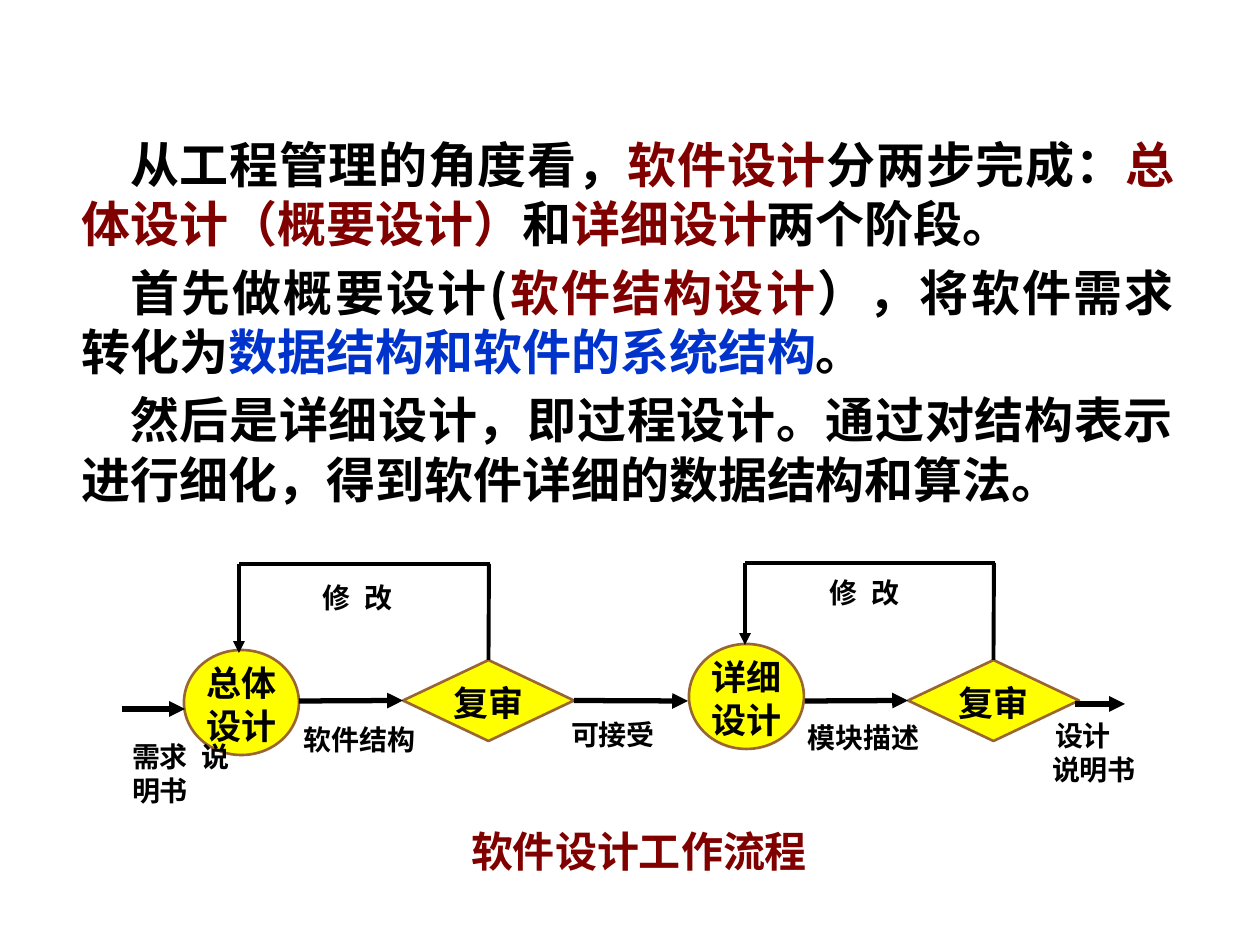
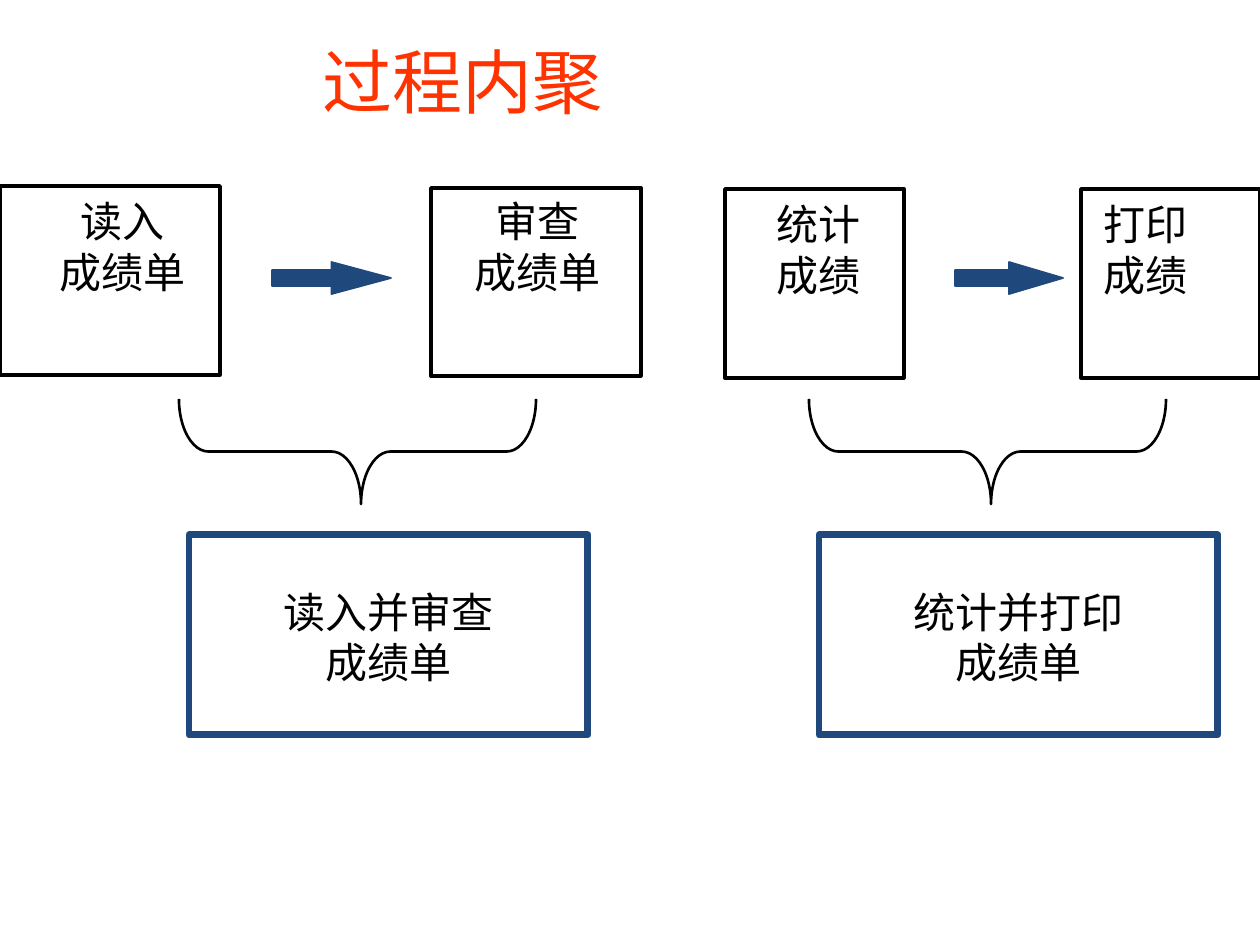
"""Build two slides on software design: the workflow and procedural cohesion."""
from pptx import Presentation
from pptx.dml.color import RGBColor
from pptx.enum.shapes import MSO_CONNECTOR, MSO_SHAPE as SHAPE
from pptx.enum.text import MSO_ANCHOR as ANCHOR, PP_ALIGN as ALIGN
from pptx.oxml.ns import qn
from pptx.util import Pt
from lxml.etree import SubElement

PX = 914400 / 126
CJK = "Noto Sans CJK SC"
BLACK = RGBColor(0, 0, 0)
WHITE = RGBColor(255, 255, 255)
MAROON = RGBColor(0x80, 0, 0)
BLUE = RGBColor(0, 0x33, 0xCC)
NAVY = RGBColor(0x1F, 0x49, 0x7D)
YELLOW = RGBColor(255, 255, 0)
BROWN = RGBColor(0x99, 0x66, 0x33)
ORANGE = RGBColor(255, 0x33, 0)

BODY = [
    ["从工程管理的角度看，", ("软件设计", MAROON), "分两步完成：",
     ("总体设计（概要设计）", MAROON), "和", ("详细设计", MAROON), "两个阶段。"],
    ["首先做概要设计(", ("软件结构设计", MAROON), "），将软件需求转化为",
     ("数据结构和软件的系统结构", BLUE), "。"],
    ["然后是详细设计，即过程设计。通过对结构表示进行细化，得到软件详细的数据结构和算法。"],
]
STAGES = [
    {"words": ["总体", "设计"], "circle": (184, 650), "review": (403, 660),
     "loop": (239, 564, 653), "out": 299},
    {"words": ["详细", "设计"], "circle": (689, 644), "review": (908, 660),
     "loop": (745, 563, 645), "out": 805},
]
GAP = " "
FLOW_LABELS = [
    ([["需求", GAP, "说明书"]], (120, 730, 134, 81)),
    (["软件结构"], (292, 713, 156, 47)),
    ([["修", GAP, "改"]], (311, 571, 163, 47)),
    (["可接受"], (559, 708, 142, 47)),
    (["模块描述"], (796, 711, 158, 47)),
    ([["修", GAP, "改"]], (818, 566, 163, 47)),
]

STEPS = [
    (["读入", "成绩单"], (0, 186, 220, 189), (47, 186, 151, 113), ALIGN.CENTER),
    (["审查", "成绩单"], (431, 188, 210, 188), (462, 186, 151, 113), ALIGN.CENTER),
    (["统计", "成绩"], (725, 189, 179, 189), (765, 189, 110, 113), ALIGN.LEFT),
    (["打印", "成绩"], (1081, 189, 179, 189), (1092, 189, 110, 113), ALIGN.LEFT),
]
STEP_ARROWS = [(272, 262, 119, 32), (955, 262, 108, 32)]
MODULES = [["读入并审查", "成绩单"], ["统计并打印", "成绩单"]]
MODULE_PITCH = 630


def emu(*lengths):
    return [round(n * PX) for n in lengths]


def write(shape, paras, size=24, font=CJK, color=BLACK, bold=False, align=ALIGN.LEFT,
          anchor=ANCHOR.TOP, wrap=False, gap=0, margin=0, indent=0):
    tf = shape.text_frame
    tf.word_wrap, tf.vertical_anchor = wrap, anchor
    tf.margin_left, tf.margin_top, tf.margin_right, tf.margin_bottom = emu(12, 9, 12, 6)
    for i, runs in enumerate(paras):
        p = tf.paragraphs[0] if i == 0 else tf.add_paragraph()
        p.alignment, p.line_spacing = align, Pt(round(size * 1.21, 1))
        if i:
            p.space_before = Pt(gap)
        pPr = p._p.get_or_add_pPr()
        pPr.set("marL", str(emu(margin)[0]))
        pPr.set("indent", str(emu(indent)[0]))
        for item in [runs] if isinstance(runs, str) else runs:
            text, tint = (item, color) if isinstance(item, str) else item
            r = p.add_run()
            r.text = text
            r.font.size, r.font.name, r.font.bold = Pt(size), font, bold
            r.font.color.rgb = tint
            SubElement(r._r.rPr, qn("a:ea"), typeface=CJK)
            if text == GAP:
                r._r.rPr.set("spc", "400")
    return shape


def add_text(s, box, paras, **fmt):
    return write(s.shapes.add_textbox(*emu(*box)), paras, **fmt)


def add_box(s, kind, box, fill, line, width):
    sp = s.shapes.add_shape(kind, *emu(*box))
    sp.shadow.inherit = False
    if fill is None:
        sp.fill.background()
    else:
        sp.fill.solid()
        sp.fill.fore_color.rgb = fill
    sp.line.color.rgb, sp.line.width = line, Pt(width)
    return sp


def add_line(s, start, end, width=3, arrow=True):
    c = s.shapes.add_connector(MSO_CONNECTOR.STRAIGHT, *emu(*start, *end))
    c.line.color.rgb, c.line.width = BLACK, Pt(width)
    if arrow:
        SubElement(c.line._get_or_add_ln(), qn("a:tailEnd"), type="triangle")
    SubElement(c._element.spPr, qn("a:effectLst"))
    return c


def workflow_slide(prs):
    s = prs.slides.add_slide(prs.slide_layouts[6])
    node = dict(size=20, bold=True, align=ALIGN.CENTER, anchor=ANCHOR.MIDDLE)
    reviews = []
    for stage in STAGES:
        circle = add_box(s, SHAPE.OVAL, (*stage["circle"], 115, 105), YELLOW, BROWN, 1.5)
        write(circle, stage["words"], **node)
        x, y = stage["review"]
        review = add_box(s, SHAPE.DIAMOND, (x, y, 171, 81), YELLOW, BROWN, 1.5)
        write(review, ["复审"], **node)
        reviews.append(review)
        add_line(s, (stage["out"], 701), (x, 701)).end_connect(review, 1)
        left, top, tip = stage["loop"]
        right = x + 86
        rise = add_line(s, (right, y), (right, top), 2.25, False)
        rise.begin_connect(review, 0)
        add_line(s, (right + 1, top), (left, top), 2.25, False)
        add_line(s, (left, top), (left, tip), 2.25)
    add_line(s, (122, 709), (185, 709))
    add_line(s, (574, 701), (688, 701)).begin_connect(reviews[0], 3)
    add_line(s, (1075, 704), (1125, 704))
    for paras, box in FLOW_LABELS:
        add_text(s, box, paras, size=16, bold=True, wrap=True)
    result = add_text(s, (1027, 709, 134, 81), ["设计", "说明书"], size=16, bold=True,
                      wrap=True, align=ALIGN.CENTER)
    first = result.text_frame.paragraphs[0]
    first.alignment = ALIGN.LEFT
    first._p.get_or_add_pPr().set("indent", str(emu(16)[0]))
    add_text(s, (445, 816, 388, 63), ["软件设计工作流程"], color=MAROON, bold=True,
             align=ALIGN.CENTER, wrap=True)
    add_text(s, (44, 125, 1142, 384), BODY, size=28, bold=True, align=ALIGN.JUSTIFY,
             wrap=True, gap=5.2, margin=26, indent=48)


def cohesion_slide(prs):
    s = prs.slides.add_slide(prs.slide_layouts[6])
    add_text(s, (74, 26, 777, 105), ["过程内聚"], size=40, font="Calibri", color=ORANGE,
             align=ALIGN.CENTER, anchor=ANCHOR.MIDDLE, wrap=True)
    for words, frame, label, align in STEPS:
        add_box(s, SHAPE.RECTANGLE, frame, WHITE, BLACK, 2)
        add_text(s, label, words, align=align)
    for box in STEP_ARROWS:
        arrow = add_box(s, SHAPE.RIGHT_ARROW, box, NAVY, NAVY, 1)
        arrow.adjustments[1] = box[2] / box[3] / 2
    for i, words in enumerate(MODULES):
        dx = i * MODULE_PITCH
        brace = add_box(s, SHAPE.LEFT_BRACE, (305 + dx, 273, 105, 357), None, BLACK, 1.5)
        brace.rotation = 270
        brace.adjustments[0], brace.adjustments[1] = 0.28, 0.51
        module = add_box(s, SHAPE.RECTANGLE, (189 + dx, 535, 399, 200), WHITE, NAVY, 4)
        write(module, words, font="Times New Roman", align=ALIGN.CENTER,
              anchor=ANCHOR.MIDDLE)


def main():
    prs = Presentation()
    prs.slide_width, prs.slide_height = emu(1260, 945)
    workflow_slide(prs)
    cohesion_slide(prs)
    prs.save("out.pptx")


if __name__ == "__main__":
    main()
